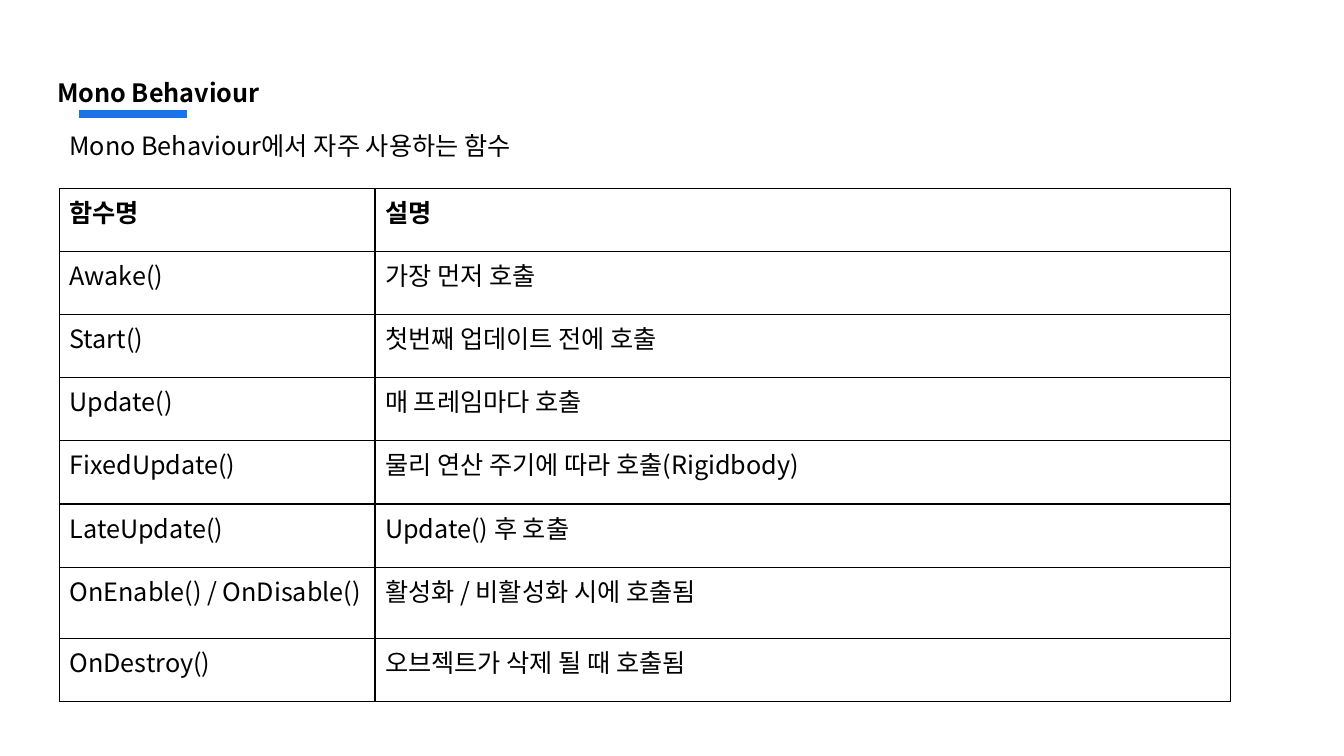
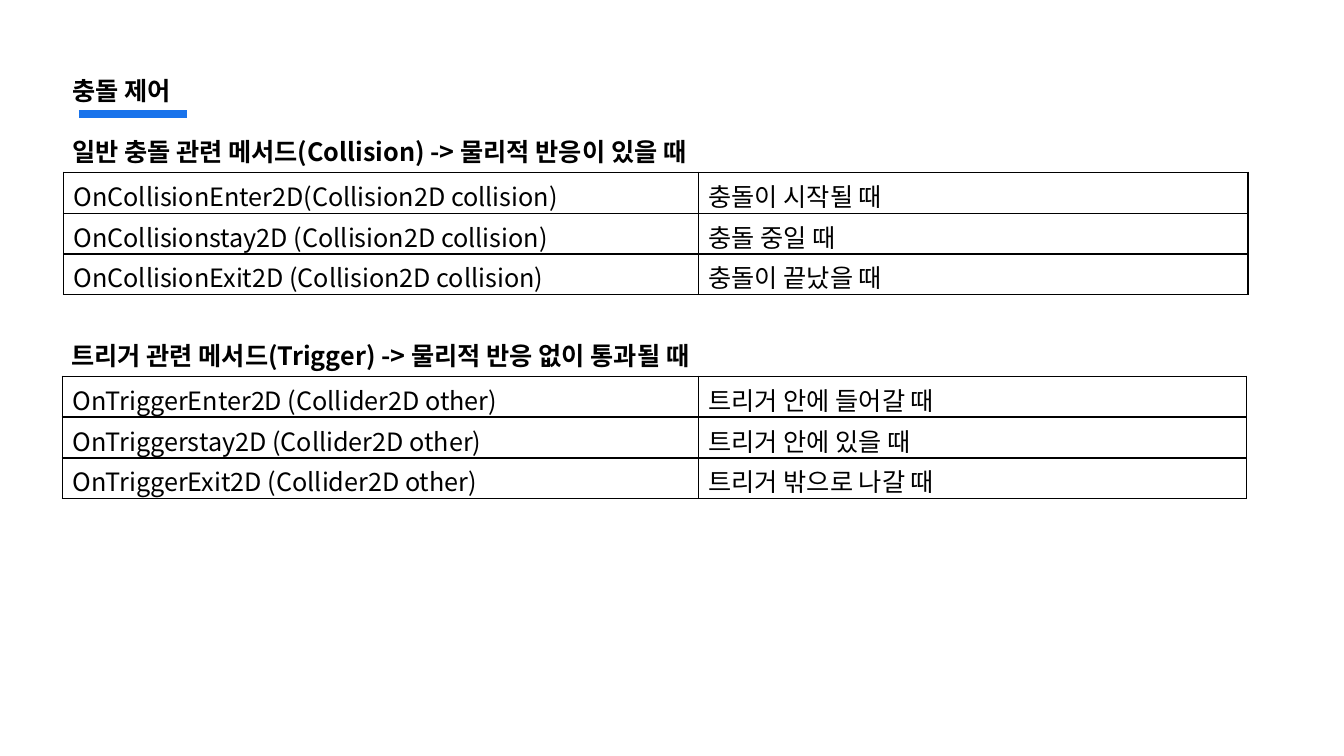
from lxml import etree
from pptx import Presentation
from pptx.dml.color import RGBColor
from pptx.enum import shapes, text
from pptx.oxml.ns import qn
from pptx.util import Cm, Pt

FONT = "Noto Sans CJK KR"
BLACK, WHITE, BLUE = "000000", "FFFFFF", "1973EB"


def rgb(code):
    return RGBColor.from_string(code)


def write(tf, words, bold=False):
    r = tf.paragraphs[0].add_run()
    r.text = words
    r.font.name, r.font.size, r.font.bold = FONT, Pt(18), bold
    r.font.color.rgb = rgb(BLACK)
    etree.SubElement(r._r.get_or_add_rPr(), qn("a:ea"), typeface=FONT)


# Text boxes: left, top, width (cm), words, bold
# Tables: left, top (cm), column widths, row heights, bold header, rows
slides = [
    {
        "texts": [
            (1.19, 1.83, 6.86, "Mono Behaviour", True),
            (1.5, 3.15, 29.54, "Mono Behaviour에서 자주 사용하는 함수", False),
        ],
        "tables": [
            (1.5, 4.75, (7.95, 21.56), [1.59] * 6 + [1.79, 1.59], True, [
                ("함수명", "설명"),
                ("Awake()", "가장 먼저 호출"),
                ("Start()", "첫번째 업데이트 전에 호출"),
                ("Update()", "매 프레임마다 호출"),
                ("FixedUpdate()", "물리 연산 주기에 따라 호출(Rigidbody)"),
                ("LateUpdate()", "Update() 후 호출"),
                ("OnEnable() / OnDisable()", "활성화 / 비활성화 시에 호출됨"),
                ("OnDestroy()", "오브젝트가 삭제 될 때 호출됨"),
            ]),
        ],
    },
    {
        "texts": [
            (1.57, 1.78, 16.94, "충돌 제어", True),
            (1.57, 3.3, 16.94, "일반 충돌 관련 메서드(Collision) -> 물리적 반응이 있을 때", True),
            (1.55, 8.46, 19.81, "트리거 관련 메서드(Trigger) -> 물리적 반응 없이 통과될 때", True),
        ],
        "tables": [
            (1.6, 4.34, (16.0, 13.85), [1.03] * 3, False, [
                ("OnCollisionEnter2D(Collision2D collision)", "충돌이 시작될 때"),
                ("OnCollisionstay2D (Collision2D collision)", "충돌 중일 때"),
                ("OnCollisionExit2D (Collision2D collision)", "충돌이 끝났을 때"),
            ]),
            (1.57, 9.48, (16.03, 13.82), [1.03] * 3, False, [
                ("OnTriggerEnter2D (Collider2D other)", "트리거 안에 들어갈 때"),
                ("OnTriggerstay2D (Collider2D other)", "트리거 안에 있을 때"),
                ("OnTriggerExit2D (Collider2D other)", "트리거 밖으로 나갈 때"),
            ]),
        ],
    },
]

prs = Presentation()
prs.slide_width, prs.slide_height = Cm(33.87), Cm(19.05)

for content in slides:
    s = prs.slides.add_slide(prs.slide_layouts[6])

    # Blue bar under the title
    bar = s.shapes.add_connector(shapes.MSO_CONNECTOR.STRAIGHT,
                                 Cm(1.99), Cm(2.87), Cm(4.7), Cm(2.87))
    bar.line.color.rgb = rgb(BLUE)
    bar.line.width = Pt(6)
    etree.SubElement(bar._element.spPr, qn("a:effectLst"))

    # Title and headings
    for left, top, width, words, bold in content["texts"]:
        sp = s.shapes.add_textbox(Cm(left), Cm(top), Cm(width), Cm(1.03))
        tf = sp.text_frame
        tf.word_wrap = True
        tf.auto_size = text.MSO_AUTO_SIZE.SHAPE_TO_FIT_TEXT
        write(tf, words, bold)

    # Tables
    for left, top, widths, heights, header, rows in content["tables"]:
        tbl = s.shapes.add_table(len(rows), len(widths), Cm(left), Cm(top),
                                 Cm(sum(widths)), Cm(sum(heights))).table
        tbl.first_row = header
        tbl.horz_banding = False
        for col, width in zip(tbl.columns, widths):
            col.width = Cm(width)
        for i, (row, height, values) in enumerate(zip(tbl.rows, heights, rows)):
            row.height = Cm(height)
            for cell, words in zip(row.cells, values):
                cell.margin_top, cell.margin_bottom = Cm(0.12), Cm(0)
                write(cell.text_frame, words, header and i == 0)
                # Borders come before the fill in the cell properties
                tcPr = cell._tc.get_or_add_tcPr()
                for side in ("lnL", "lnR", "lnT", "lnB"):
                    ln = etree.SubElement(tcPr, qn("a:" + side), w=str(Pt(1)))
                    fill = etree.SubElement(ln, qn("a:solidFill"))
                    etree.SubElement(fill, qn("a:srgbClr"), val=BLACK)
                cell.fill.solid()
                cell.fill.fore_color.rgb = rgb(WHITE)

prs.save("out.pptx")
